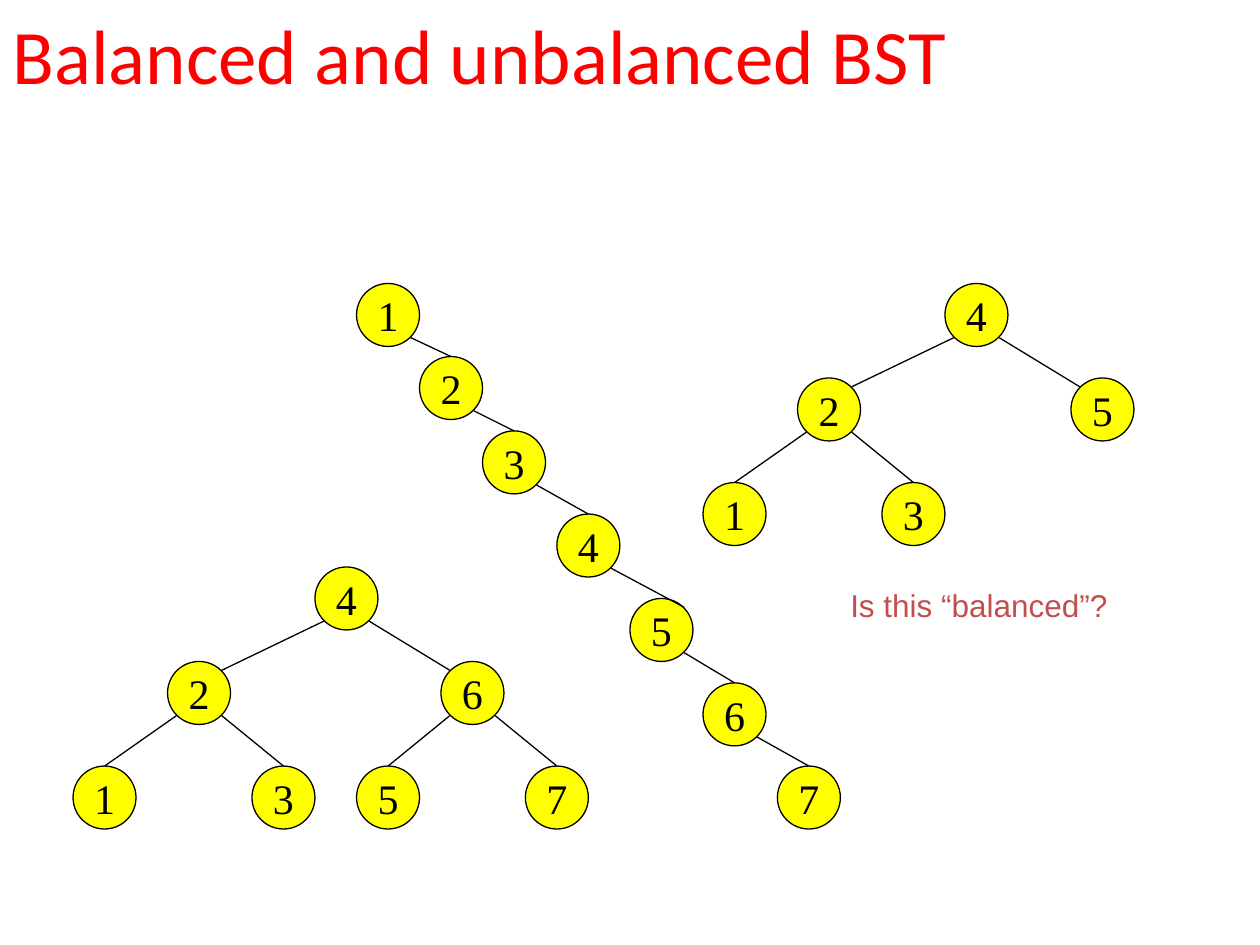
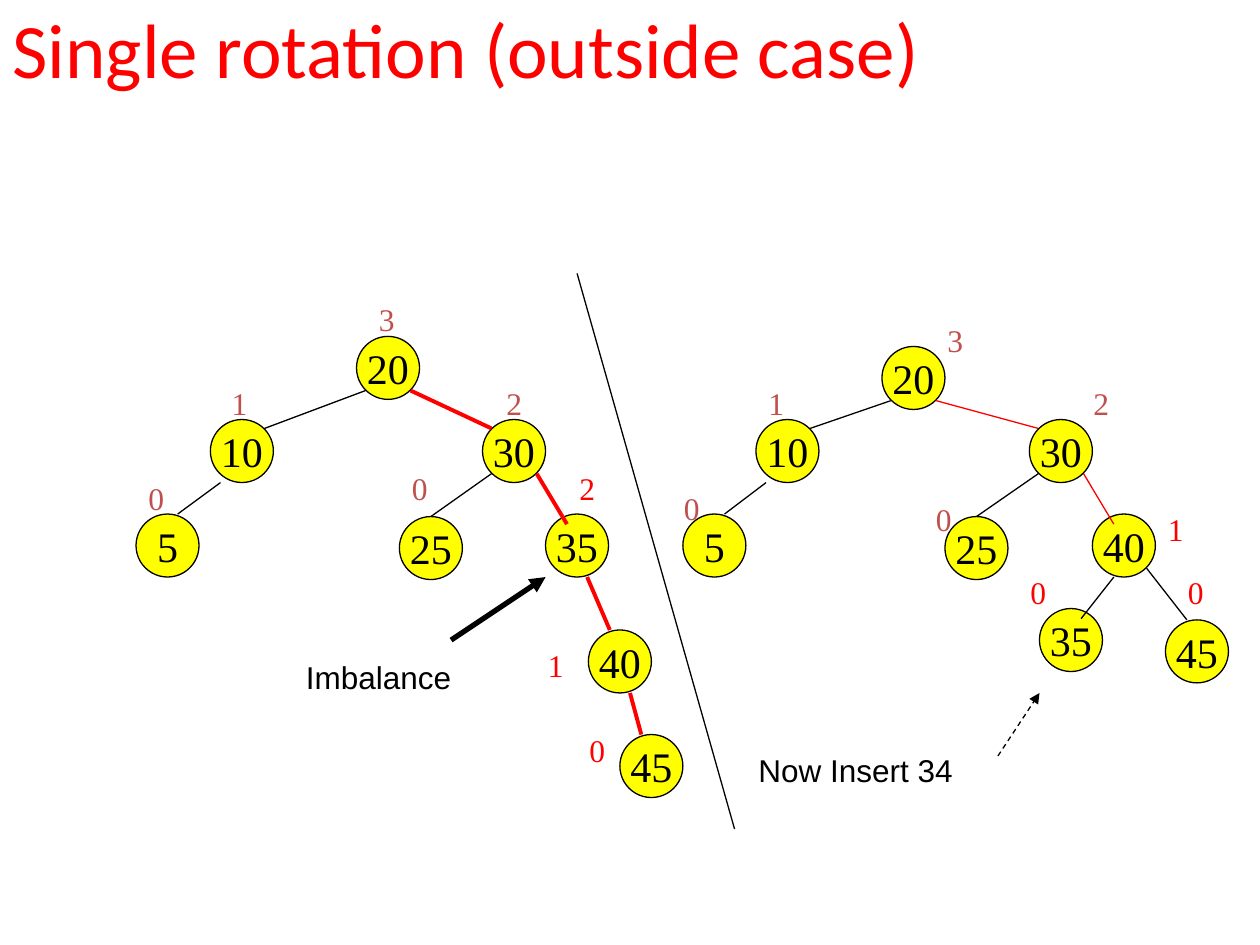
from lxml import etree
from pptx import Presentation
from pptx.dml.color import RGBColor
from pptx.enum import dml, shapes, text
from pptx.oxml.ns import qn
from pptx.util import Inches, Pt

COLORS = {"red": "FF0000", "brick": "C0504D", "black": "000000", "yellow": "FFFF00"}
SANS, SERIF, TITLE_FONT = "Arial", "Times New Roman", "Calibri"
NODE = 0.5
LABEL_HEIGHT = 0.43
DIGIT_WIDTH = 0.34

# Where an edge meets a node: offset from its centre, towards the other node
PORTS = {
    "corner": (0.18, 0.18),
    "far corner": (-0.18, 0.18),
    "middle": (0, 0.25),
    "edge": (0.08, 0.25),
    "wide": (0.17, 0.25),
    "inside": (0.08, 0.17),
}

# Nodes: key -> (left, top). Edges: parent, child, parent port, child port, colour, width
BALANCED_EDGES = [
    ("4", "2", "corner", "corner"),
    ("2", "1", "corner", "middle"),
    ("2", "3", "corner", "middle"),
]
SMALL_TREE = {
    "nodes": {"4": (7.5, 2.25), "2": (6.33, 3), "5": (8.5, 3),
              "1": (5.58, 3.83), "3": (7, 3.83)},
    "edges": BALANCED_EDGES + [("4", "5", "corner", "corner")],
}
CHAIN = {
    "nodes": {"1": (2.83, 2.25), "2": (3.33, 2.83), "3": (3.83, 3.42), "4": (4.42, 4.08),
              "5": (5, 4.75), "6": (5.58, 5.42), "7": (6.17, 6.08)},
    "edges": [(str(n), str(n + 1), "corner", "far corner" if n == 4 else "middle")
              for n in range(1, 7)],
}
FULL_TREE = {
    "nodes": {"4": (2.5, 4.5), "2": (1.33, 5.25), "6": (3.5, 5.25), "1": (0.58, 6.08),
              "3": (2, 6.08), "5": (2.83, 6.08), "7": (4.17, 6.08)},
    "edges": BALANCED_EDGES + [
        ("4", "6", "corner", "corner"),
        ("6", "5", "corner", "middle"),
        ("6", "7", "corner", "middle"),
    ],
}
ROTATION_EDGES = [
    ("20", "10", "corner", "corner"),
    ("30", "25", "corner", "middle"),
    ("10", "5", "wide", "edge"),
]
BEFORE_ROTATION = {
    "nodes": {"20": (2.83, 2.67), "10": (1.67, 3.33), "30": (3.83, 3.33), "5": (1.08, 4.08),
              "25": (3.17, 4.1), "35": (4.33, 4.08), "40": (4.67, 5), "45": (4.92, 5.83)},
    "edges": ROTATION_EDGES + [
        ("20", "30", "corner", "corner", "red", 2.25),
        ("30", "35", "corner", "inside", "red", 2.25),
        ("35", "40", "edge", "edge", "red", 2.25),
        ("40", "45", "edge", "edge", "red", 2.25),
    ],
}
AFTER_ROTATION = {
    "nodes": {"20": (7, 2.75), "10": (6, 3.33), "30": (8.17, 3.33), "5": (5.42, 4.08),
              "25": (7.5, 4.1), "40": (8.67, 4.08), "35": (8.25, 4.83), "45": (9.25, 4.92)},
    "edges": ROTATION_EDGES + [
        ("20", "30", "corner", "corner", "red"),
        ("30", "40", "corner", "inside", "red"),
        ("40", "35", "edge", "inside"),
        ("40", "45", "corner", "edge"),
    ],
}

# Subtree heights: (height, left, top)
HEIGHTS = {
    "brick": [("3", 2.91, 2.33), ("1", 1.74, 3), ("2", 3.92, 3), ("0", 1.08, 3.75),
              ("0", 3.17, 3.67), ("3", 7.42, 2.5), ("1", 6, 3), ("2", 8.58, 3),
              ("0", 5.33, 3.83), ("0", 7.33, 3.92)],
    "red": [("2", 4.5, 3.67), ("1", 4.25, 5.08), ("0", 4.58, 5.75), ("1", 9.17, 4),
            ("0", 8.08, 4.5), ("0", 9.33, 4.5)],
}


def add_span(para, words, font, size, color):
    span = para.add_run()
    span.text = words
    span.font.name = font
    span.font.size = Pt(size)
    span.font.color.rgb = RGBColor.from_string(COLORS[color])


def add_page(deck, title, top, width):
    page = deck.slides.add_slide(deck.slide_layouts[5])
    box = page.shapes.title
    box.left, box.top = Inches(0), Inches(top)
    box.width, box.height = Inches(width), Inches(1.25)
    box.text_frame.vertical_anchor = text.MSO_ANCHOR.MIDDLE
    para = box.text_frame.paragraphs[0]
    para.alignment = text.PP_ALIGN.LEFT
    add_span(para, title, TITLE_FONT, 44, "red")
    return page


def add_label(page, words, left, top, width, font, color):
    box = page.shapes.add_textbox(Inches(left), Inches(top), Inches(width),
                                  Inches(LABEL_HEIGHT))
    box.text_frame.word_wrap = True
    add_span(box.text_frame.paragraphs[0], words, font, 18, color)


def add_line(page, start, end, color="black", width=0.75, arrow=False, dashed=False):
    points = [Inches(value) for value in (*start, *end)]
    line = page.shapes.add_connector(shapes.MSO_CONNECTOR.STRAIGHT, *points)
    line.line.color.rgb = RGBColor.from_string(COLORS[color])
    line.line.width = Pt(width)
    if dashed:
        line.line.dash_style = dml.MSO_LINE.DASH
    if arrow:
        etree.SubElement(line.line._get_or_add_ln(), qn("a:tailEnd"), type="triangle")
    etree.SubElement(line._element.spPr, qn("a:effectLst"))


def add_node(page, key, left, top):
    node = page.shapes.add_shape(shapes.MSO_SHAPE.OVAL, Inches(left), Inches(top),
                                 Inches(NODE), Inches(NODE))
    node.shadow.inherit = False
    node.fill.solid()
    node.fill.fore_color.rgb = RGBColor.from_string(COLORS["yellow"])
    node.line.color.rgb = RGBColor.from_string(COLORS["black"])
    node.line.width = Pt(0.75)
    node.text_frame.word_wrap = False
    node.text_frame.vertical_anchor = text.MSO_ANCHOR.MIDDLE
    para = node.text_frame.paragraphs[0]
    para.alignment = text.PP_ALIGN.CENTER
    add_span(para, key, SERIF, 24, "black")


def add_tree(page, tree):
    nodes = tree["nodes"]
    for key, (left, top) in nodes.items():
        add_node(page, key, left, top)
    for parent, child, leave, arrive, *style in tree["edges"]:
        (x1, y1), (x2, y2) = [(left + NODE / 2, top + NODE / 2)
                              for left, top in (nodes[parent], nodes[child])]
        side = 1 if x2 > x1 else -1
        (out_x, out_y), (in_x, in_y) = PORTS[leave], PORTS[arrive]
        add_line(page, (x1 + side * out_x, y1 + out_y),
                 (x2 - side * in_x, y2 - in_y), *style)


def main():
    deck = Presentation()
    deck.slide_width, deck.slide_height = Inches(10), Inches(7.5)

    # Balanced and unbalanced trees
    page = add_page(deck, "Balanced and unbalanced BST", -0.2, 8.83)
    for tree in (SMALL_TREE, CHAIN, FULL_TREE):
        add_tree(page, tree)
    add_label(page, "Is this “balanced”?", 6.65, 4.6, 2.47, SANS, "brick")

    # Single rotation, before and after
    page = add_page(deck, "Single rotation (outside case)", -0.25, 7.75)
    for tree in (BEFORE_ROTATION, AFTER_ROTATION):
        add_tree(page, tree)
    for color, labels in HEIGHTS.items():
        for height, left, top in labels:
            add_label(page, height, left, top, DIGIT_WIDTH, SERIF, color)

    # Divider, notes and their arrows
    add_line(page, (4.58, 2.17), (5.83, 6.58))
    add_label(page, "Imbalance", 2.33, 5.17, 1.5, SANS, "black")
    add_line(page, (3.58, 5.08), (4.33, 4.58), width=3, arrow=True)
    add_label(page, "Now Insert 34", 5.92, 5.91, 2.08, SANS, "black")
    add_line(page, (7.92, 6), (8.25, 5.5), arrow=True, dashed=True)

    deck.save("out.pptx")


if __name__ == "__main__":
    main()
